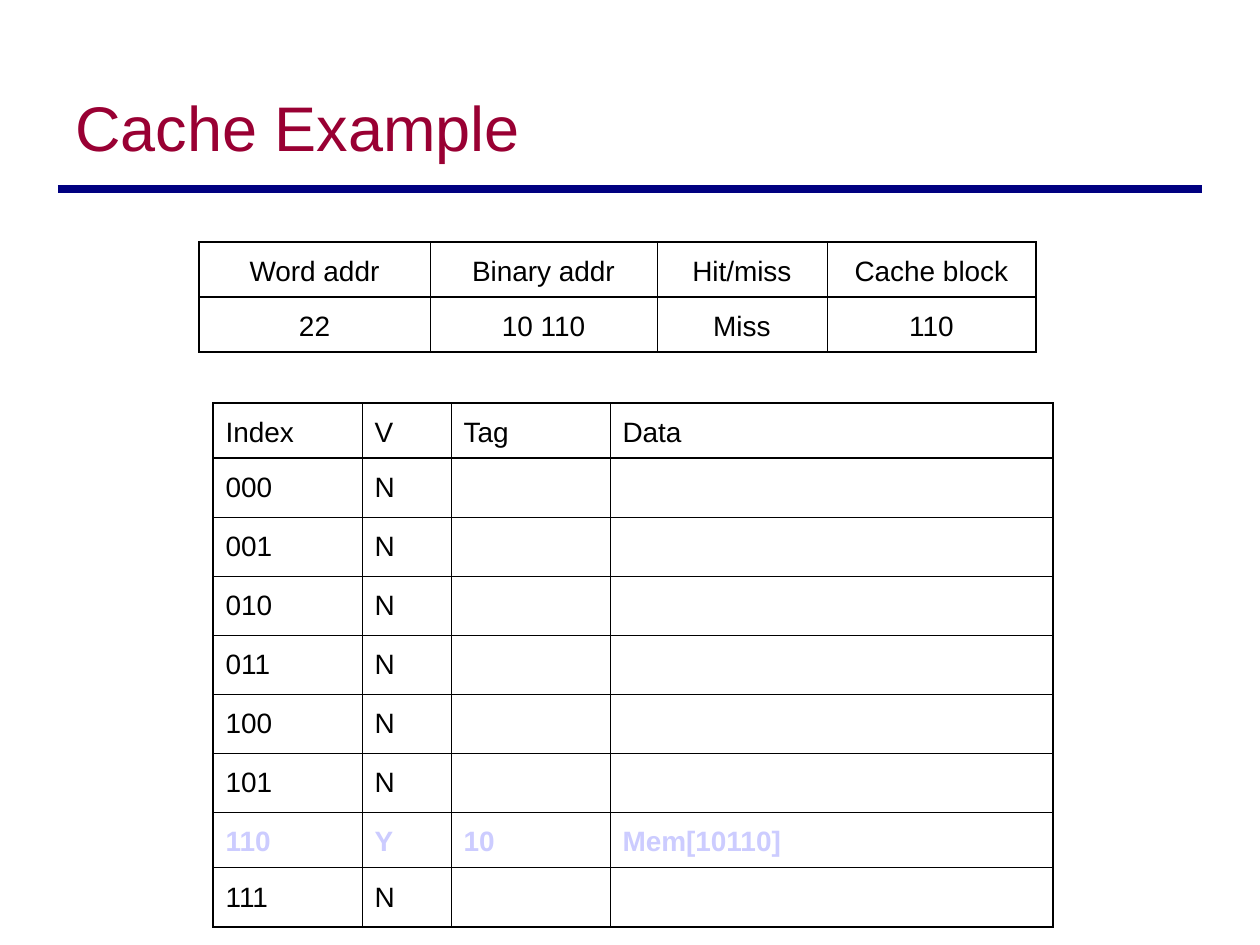
from lxml.etree import SubElement
from pptx import Presentation
from pptx.dml.color import RGBColor
from pptx.enum.shapes import MSO_CONNECTOR
from pptx.enum.text import MSO_ANCHOR, PP_ALIGN
from pptx.oxml.ns import qn
from pptx.util import Pt

PX = 914400 // 126
FONT = "Arial"
LINE_SPACING = 1.26
BLACK = RGBColor(0x00, 0x00, 0x00)
MAROON = RGBColor(0x99, 0x00, 0x33)
NAVY = RGBColor(0x00, 0x00, 0x80)
LAVENDER = RGBColor(0xCC, 0xCC, 0xFF)
OUTER, HEADER_RULE, INNER = 1.08, 0.75, 0.45

TITLE = "Cache Example"
ACCESS = [
    ("Word addr", "Binary addr", "Hit/miss", "Cache block"),
    ("22", "10 110", "Miss", "110"),
]
FILLED = {"110": ("Y", "10", "Mem[10110]")}
INDEXES = [f"{i:03b}" for i in range(8)]
CACHE = [("Index", "V", "Tag", "Data")] + [
    (index, *FILLED.get(index, ("N", "", ""))) for index in INDEXES
]
CACHE_HEIGHTS = [55] + [56 if index in FILLED else 59 for index in INDEXES]


def style(paragraph, size, color, align=PP_ALIGN.LEFT, bold=False):
    paragraph.alignment = align
    paragraph.line_spacing = LINE_SPACING
    font = paragraph.font
    font.name, font.size, font.bold = FONT, Pt(size), bold
    font.color.rgb = color


def add_border(cell, side, width):
    line = SubElement(cell._tc.get_or_add_tcPr(), qn(f"a:ln{side}"), w=str(Pt(width)))
    fill = SubElement(line, qn("a:solidFill"))
    SubElement(fill, qn("a:srgbClr"), val=str(BLACK))


def row_rule(edge, row_count):
    if edge in (0, row_count):
        return OUTER
    return HEADER_RULE if edge == 1 else INNER


def add_grid(slide, left, top, widths, heights, content, align):
    table = slide.shapes.add_table(
        len(heights), len(widths), left * PX, top * PX,
        sum(widths) * PX, sum(heights) * PX,
    ).table
    table.first_row = table.horz_banding = False
    for column, width in zip(table.columns, widths):
        column.width = width * PX
    for r, (height, texts) in enumerate(zip(heights, content)):
        table.rows[r].height = height * PX
        hit = len(content) > 2 and texts[0] in FILLED
        for c, text in enumerate(texts):
            cell = table.cell(r, c)
            cell.text = text
            style(cell.text_frame.paragraphs[0], 16,
                  LAVENDER if hit else BLACK, align, hit)
            add_border(cell, "L", OUTER if c == 0 else INNER)
            add_border(cell, "R", OUTER if c == len(widths) - 1 else INNER)
            add_border(cell, "T", row_rule(r, len(heights)))
            add_border(cell, "B", row_rule(r + 1, len(heights)))
            cell.fill.background()


def main():
    deck = Presentation()
    deck.slide_width, deck.slide_height = 1260 * PX, 945 * PX
    slide = deck.slides.add_slide(deck.slide_layouts[6])

    rule = slide.shapes.add_connector(
        MSO_CONNECTOR.STRAIGHT, 58 * PX, 189 * PX, 1202 * PX, 189 * PX)
    rule.line.color.rgb = NAVY
    rule.line.width = Pt(4.5)
    SubElement(rule._element.spPr, qn("a:effectLst"))

    heading = slide.shapes.add_textbox(63 * PX, 38 * PX, 1134 * PX, 157 * PX).text_frame
    heading.word_wrap = True
    heading.vertical_anchor = MSO_ANCHOR.MIDDLE
    heading.text = TITLE
    style(heading.paragraphs[0], 36, MAROON)

    add_grid(slide, 213, 403, [149, 89, 159, 443], CACHE_HEIGHTS, CACHE, PP_ALIGN.LEFT)
    add_grid(slide, 199, 242, [231, 227, 170, 209], [55, 55], ACCESS, PP_ALIGN.CENTER)
    deck.save("out.pptx")


if __name__ == "__main__":
    main()
